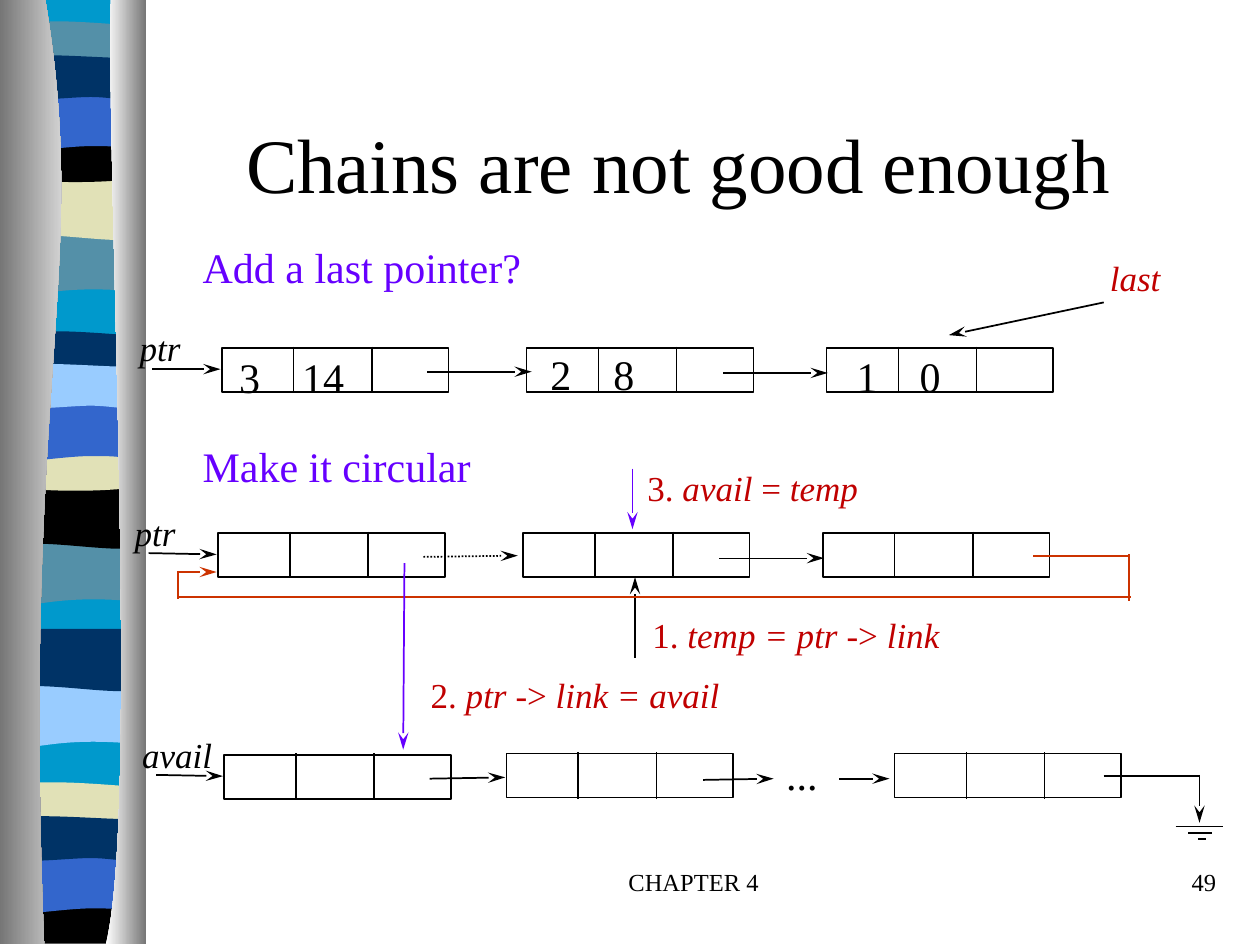
import pptx
import pptx.util
import pptx.dml.color
import pptx.enum.dml
import pptx.enum.shapes
import pptx.enum.text
import pptx.oxml
import pptx.oxml.ns

Inches = pptx.util.Inches
qn = pptx.oxml.ns.qn

THEME = {
    "font": "Times New Roman",
    "black": "000000", "violet": "6600FF", "red": "C00000", "orange": "CC3300",
    "teal": "0099CC", "steel": "5490A8", "sand": "E1E1B7", "blue": "3366CC",
    "navy": "003366", "sky": "99CCFF", "silver": "767676", "white": "FFFFFF",
    "title": 44, "heading": 24, "label": 20, "footer": 14,
}

# ---- Content ----
TITLE = "Chains are not good enough"

# Text runs are (words, italic); place is left, top, width, height
LABELS = [
    ([("Add a last pointer?", False)], "heading", "violet", (1.51, 1.87, 2.75, 0.5)),
    ([("Make it circular", False)], "heading", "violet", (1.51, 3.45, 2.35, 0.5)),
    ([("3\t14", False)], "heading", "black", (1.8, 2.74, 1.57, 0.5)),
    ([("2\t8", False)], "heading", "black", (4.27, 2.72, 1.52, 0.5)),
    ([("1\t0", False)], "heading", "black", (6.7, 2.73, 1.32, 0.5)),
    ([("...", False)], "heading", "black", (6.14, 5.89, 0.45, 0.5)),
    ([("ptr", True)], "label", "black", (1.01, 2.54, 0.53, 0.44)),
    ([("ptr", True)], "label", "black", (0.97, 4.01, 0.53, 0.44)),
    ([("avail", True)], "label", "black", (1.03, 5.77, 0.76, 0.44)),
    ([("last", True)], "label", "red", (8.71, 1.99, 0.61, 0.44)),
    ([("3.", False), (" avail ", True), ("=", False), (" temp", True)],
     "label", "red", (5.04, 3.65, 1.89, 0.44)),
    ([("1.", False), (" temp = ptr ", True), ("-> ", False), ("link", True)],
     "label", "red", (5.08, 4.82, 2.49, 0.44)),
    ([("2.", False), (" ptr ", True), ("-> ", False), ("link = avail", True)],
     "label", "red", (3.32, 5.3, 2.51, 0.44)),
]
FOOTERS = [("CHAPTER 4", "CENTER", (3.92, 6.83, 3.17, 0.5)),
           ("49", "RIGHT", (7.67, 6.83, 2.08, 0.5))]

# Left and top of each three-cell node
NODES = [(1.76, 2.76), (4.18, 2.76), (6.56, 2.76),
         (1.73, 4.23), (4.15, 4.23), (6.53, 4.23),
         (1.78, 5.99), (4.02, 5.98), (7.1, 5.98)]
NODE_SIZE = (1.8, 0.35)
DIVIDERS = (0.57, 1.19)

# Lines are x1, y1, x2, y2
BLACK_ARROWS = [
    (1.21, 2.93, 1.75, 2.93), (3.39, 2.95, 4.22, 2.95), (5.74, 2.96, 6.57, 2.96),
    (8.76, 2.4, 7.53, 2.66), (1.18, 4.39, 1.72, 4.4), (5.04, 5.22, 5.04, 4.58),
    (1.24, 6.15, 1.77, 6.16), (3.41, 6.18, 4.01, 6.17), (5.58, 6.19, 6.14, 6.18),
    (6.66, 6.18, 7.06, 6.18), (9.52, 6.15, 9.52, 6.53)]
VIOLET_ARROWS = [(3.21, 4.47, 3.2, 5.95), (5.02, 3.72, 5.02, 4.2)]
DOTTED_LINK = (3.36, 4.42, 4.11, 4.41)
THIN_LINK = (5.71, 4.43, 6.54, 4.43)
RETURN_PATH = [(8.2, 4.41, 8.96, 4.41), (8.96, 4.4, 8.96, 4.77),
               (1.41, 4.74, 8.98, 4.74), (1.41, 4.53, 1.41, 4.75)]
RETURN_ARROW = (1.41, 4.54, 1.72, 4.54)
GROUND = [(8.76, 6.16, 9.52, 6.16), (9.33, 6.56, 9.71, 6.56),
          (9.43, 6.61, 9.62, 6.61), (9.51, 6.66, 9.57, 6.66)]

# Outlines: a pair is a corner, six numbers are a curve
WAVES = {
    "sweep": [(1.14, 0), (1.14, 0.47), (0.39, 0.39, 0.24, 0.55, 0.05, 0.47), (0.05, 0)],
    "swell": [(1.14, 0), (1.14, 0.47), (0.96, 0.55, 0.39, 0.41, 0.05, 0.47), (0.05, 0)],
    "crest": [(1.14, 0.05), (1.14, 0.29), (0.96, 0.34, 0.24, 0.34, 0.05, 0.29), (0.05, 0.05),
              (0.12, 0, 0.29, 0.01, 0.47, 0.01), (0.65, 0.01, 1, 0.04, 1.14, 0.05)],
    "bowl": [(1.14, 0), (1.14, 0.32), (0.96, 0.38, 0.24, 0.38, 0.05, 0.32), (0.05, 0),
             (0.72, 0.05, 0.91, 0, 1.14, 0)],
    "base": [(1.14, 0), (1.14, 0.37), (0.05, 0.37), (0.05, 0), (0.72, 0.05, 0.91, 0, 1.14, 0)],
    "arch": [(1.14, 0), (1.14, 0.47), (0.97, 0.42, 0.9, 0.42, 0.72, 0.42),
             (0.54, 0.42, 0.22, 0.47, 0.05, 0.47), (0.05, 0)],
    "ripple": [(1.14, 0.05), (1.14, 0.36), (1.07, 0.41, 0.9, 0.36, 0.72, 0.36),
               (0.54, 0.36, 0.17, 0.41, 0.05, 0.36), (0.05, 0.05),
               (0.21, 0, 0.79, 0.05, 0.97, 0.05), (1.15, 0.05, 1.1, 0.05, 1.14, 0.05)],
}
BACKDROP = [(1.14, 0), (1.14, 7.47), (0.05, 7.47), (0.05, 0)]
BANDS = [  # wave, colour, top
    ("sweep", "steel", 1.85), ("swell", "sand", 1.41), ("crest", "steel", 0.16),
    ("bowl", "black", 1.08), ("arch", "blue", 0.74), ("ripple", "navy", 0.41),
    ("sweep", "steel", 4.31), ("swell", "black", 3.86), ("crest", "navy", 2.62),
    ("bowl", "sand", 3.53), ("arch", "blue", 3.2), ("ripple", "sky", 2.86),
    ("sweep", "sky", 5.44), ("swell", "navy", 4.99), ("crest", "sand", 6.2),
    ("base", "black", 7.12), ("arch", "blue", 6.79), ("ripple", "navy", 6.45)]
PILLARS = [  # outline, left colour, right colour
    ([(0.36, 0), (0.72, 2.16, 0.17, 2.96, 0.35, 7.49), (0, 7.49), (0, 0)], "silver", "white"),
    ([(0.88, 0), (0.84, 1.25, 1.11, 6.46, 0.84, 7.49), (1.16, 7.49), (1.16, 0)],
     "white", "silver")]


# ---- Helpers ----
def rgb(name):
    return pptx.dml.color.RGBColor.from_string(THEME[name])


def place(part, box):
    part.left, part.top, part.width, part.height = map(Inches, box)


def style(run, size, colour, italic=False):
    run.font.name, run.font.size = THEME["font"], pptx.util.Pt(THEME[size])
    run.font.color.rgb, run.font.italic = rgb(colour), italic


def add_outline(slide, outline, top=0):
    points = [(Inches(x), Inches(y + top)) for node in outline
              for x, y in zip(node[::2], node[1::2])]
    builder = slide.shapes.build_freeform(*points[0])
    builder.add_line_segments(points[1:], close=True)
    area = builder.convert_to_shape()
    # Join the three segments of each curve into one Bezier segment
    segments = iter(list(area._element.iter(qn("a:lnTo"))))
    for node in outline[1:]:
        first = next(segments)
        if len(node) == 6:
            first.tag = qn("a:cubicBezTo")
            for extra in (next(segments), next(segments)):
                first.append(extra[0])
                extra.getparent().remove(extra)
    area.shadow.inherit = False
    area.line.fill.background()
    return area


def fill_solid(area, colour):
    area.fill.solid()
    area.fill.fore_color.rgb = rgb(colour)
    return area


def fill_across(area, colours):
    area.fill.gradient()
    area.fill.gradient_angle = 0
    for stop, colour in zip(area.fill.gradient_stops, colours):
        stop.color.rgb = rgb(colour)
    return area


def add_line(slide, ends, colour="black", arrow=False, width=1, dash=None):
    link = slide.shapes.add_connector(pptx.enum.shapes.MSO_CONNECTOR.STRAIGHT, *map(Inches, ends))
    link.line.color.rgb, link.line.width = rgb(colour), pptx.util.Pt(width)
    if dash:
        link.line.dash_style = dash
    properties = link._element.spPr
    if arrow:
        head = properties.makeelement(qn("a:tailEnd"), {"type": "stealth", "len": "lg"})
        link.line._get_or_add_ln().append(head)
    properties.append(properties.makeelement(qn("a:effectLst"), {}))


def add_label(slide, runs, size, colour, box, align="LEFT"):
    frame = slide.shapes.add_textbox(*map(Inches, box)).text_frame
    frame.word_wrap = align != "LEFT"
    paragraph = frame.paragraphs[0]
    paragraph.alignment = getattr(pptx.enum.text.PP_ALIGN, align)
    for words, italic in runs:
        run = paragraph.add_run()
        run.text = words
        style(run, size, colour, italic)
    if "\t" in runs[0][0]:  # exponent column half an inch in
        stops = pptx.oxml.parse_xml(
            f'<a:tabLst {pptx.oxml.ns.nsdecls("a")}><a:tab pos="{Inches(0.5)}" algn="l"/></a:tabLst>')
        paragraph._p.get_or_add_pPr().append(stops)


def add_node(slide, left, top):
    width, height = NODE_SIZE
    cell = slide.shapes.add_shape(pptx.enum.shapes.MSO_SHAPE.RECTANGLE,
                                  *map(Inches, (left, top, width, height)))
    cell.shadow.inherit = False
    cell.fill.background()
    cell.line.color.rgb, cell.line.width = rgb("black"), pptx.util.Pt(1)
    for offset in DIVIDERS:
        add_line(slide, (left + offset, top - 0.01, left + offset, top + height + 0.01))


def main():
    deck = pptx.Presentation()
    deck.slide_width, deck.slide_height = Inches(10), Inches(7.5)
    slide = deck.slides.add_slide(deck.slide_layouts[5])

    # Striped column between two pillars, kept on the master
    column = [fill_solid(add_outline(slide, BACKDROP), "teal")]
    column += [fill_solid(add_outline(slide, WAVES[wave], top), colour)
               for wave, colour, top in BANDS]
    column += [fill_across(add_outline(slide, outline), colours) for outline, *colours in PILLARS]
    for number, area in enumerate(column, 100):
        area._element.nvSpPr.cNvPr.set("id", str(number))
        deck.slide_master.shapes._spTree.append(area._element)

    # Title
    title = slide.shapes.title
    place(title, (0.78, 0.67, 9.21, 1.25))
    title.text_frame.text = TITLE
    title.text_frame.vertical_anchor = pptx.enum.text.MSO_ANCHOR.MIDDLE
    style(title.text_frame.paragraphs[0].runs[0], "title", "black")

    # Lists and their links
    for node in NODES:
        add_node(slide, *node)
    for lines, colour, arrow in [(BLACK_ARROWS, "black", True), (GROUND, "black", False),
                                 (RETURN_PATH, "orange", False), ([RETURN_ARROW], "orange", True),
                                 (VIOLET_ARROWS, "violet", True)]:
        for ends in lines:
            add_line(slide, ends, colour, arrow)
    add_line(slide, DOTTED_LINK, arrow=True, dash=pptx.enum.dml.MSO_LINE.ROUND_DOT)
    add_line(slide, THIN_LINK, arrow=True, width=0.5)

    # Words
    for label in LABELS:
        add_label(slide, *label)
    for words, align, box in FOOTERS:
        add_label(slide, [(words, False)], "footer", "black", box, align)

    deck.save("out.pptx")


if __name__ == "__main__":
    main()
